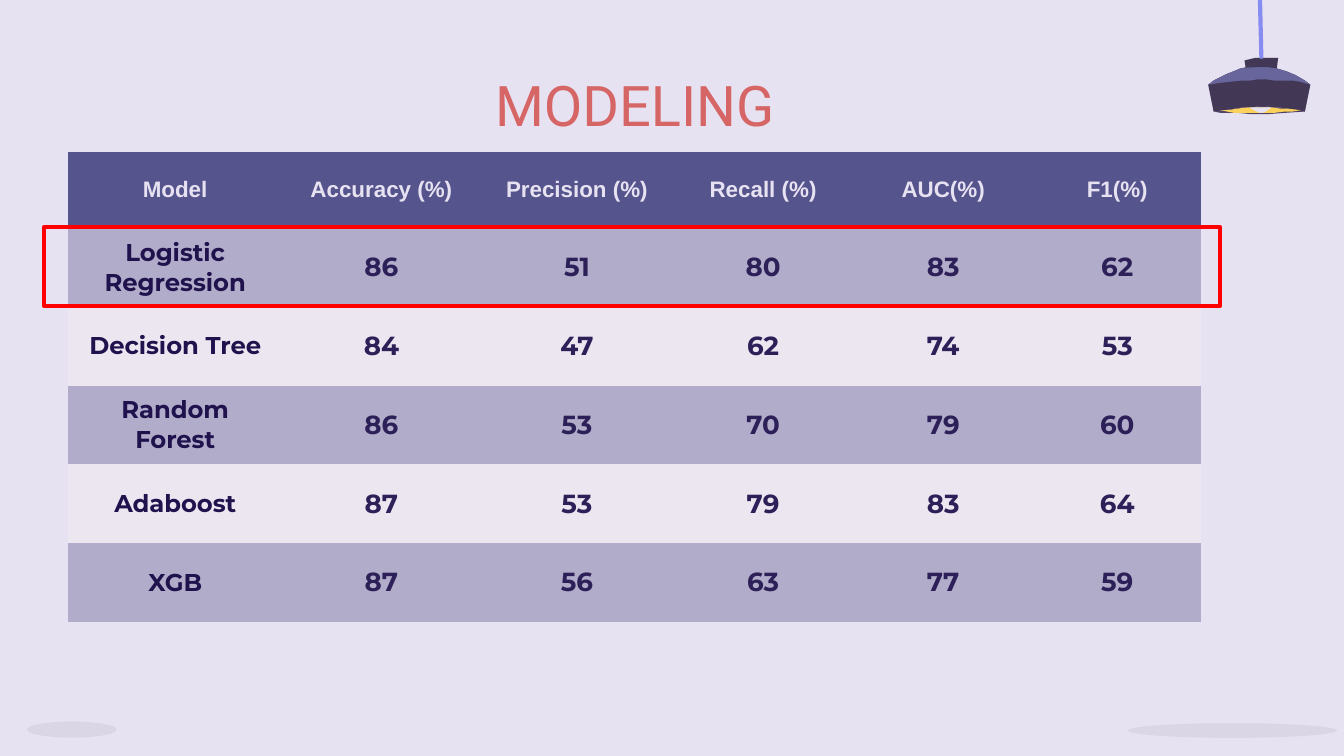
from lxml import etree
from pptx import Presentation
from pptx.dml.color import RGBColor
from pptx.enum.shapes import MSO_SHAPE
from pptx.enum.text import MSO_ANCHOR, PP_ALIGN
from pptx.oxml.ns import qn
from pptx.util import Pt

MIDDLE, CENTER = MSO_ANCHOR.MIDDLE, PP_ALIGN.CENTER
RECT, OVAL = MSO_SHAPE.RECTANGLE, MSO_SHAPE.OVAL

TITLE = "MODELING"
HEADS = ["Model", "Accuracy (%)", "Precision (%)", "Recall (%)", "AUC(%)", "F1(%)"]
MODELS = [
    ("Logistic Regression", 86, 51, 80, 83, 62),
    ("Decision Tree", 84, 47, 62, 74, 53),
    ("Random Forest", 86, 53, 70, 79, 60),
    ("Adaboost", 87, 53, 79, 83, 64),
    ("XGB", 87, 56, 63, 77, 59),
]

THEME = {
    "back": "E7E2F2", "title": "D66565", "head": "56548C",
    "bands": ("B0ACC9", "ECE6F1"), "name": "20124D", "score": "2D2058",
    "mark": "FF0000", "floor": "000000", "metal": "504268", "shade": "191919",
    "dome": "67659C", "glow": "FBD15B", "cord": "878CF0",
    "title_size": 30, "head_size": 12, "name_size": 13, "score_size": 14,
    "title_font": "Roboto", "head_font": "Arial", "body_font": "Montserrat",
}

LEFT, TOP = 36.6, 81.2
WIDTHS = [114.5, 106.5, 103, 96.5, 96.5, 90]
HEAD_H, ROW_H = 41, 42.2
PLAIN = "{2D5ABB26-0587-4C30-8999-92F81FD0307C}"
FLOORS = [(14.4, 386.6, 48.2, 8.6), (604.1, 387.4, 112.3, 7.9)]

ARCH = [(647.3, 45.4), (650.2, 43.2), (654.5, 41), (657.4, 39.6), (661, 38.2),
        (664.6, 36.7), (668.2, 36), (679.7, 36), (684, 36.7), (689, 38.2),
        (694.1, 40.3), (699.1, 43.2), (702, 45.4)]
FOLD = [(697, 43.9), (692.6, 43.2), (682.6, 43.2), (678.2, 42.5), (673.9, 42.5),
        (669.6, 43.2), (665.3, 43.2), (658.1, 43.9), (652.3, 44.6)]
BASE = [(699.1, 59.8), (695.5, 59), (691.2, 58.3), (685.4, 57.6), (681.8, 57.6),
        (678.2, 56.9), (674.6, 56.9), (670.3, 57.6), (665.3, 57.6), (661, 58.3),
        (655.9, 59), (650.2, 59.8)]
LIP = [(653.8, 60.5), (663.1, 60.5), (670.3, 61.2), (679, 61.2), (688.3, 60.5)]
GLOW = [(674.6, 57.6), (668.2, 57.6), (662.4, 58.3), (658.1, 59), (653.8, 59),
        (657.4, 59.8), (661, 60.5), (682.6, 60.5), (688.3, 59.8), (692.6, 59.8),
        (697, 59), (689.8, 58.3), (686.2, 58.3), (681.8, 57.6)]
CAP = [(676.1, 31), (672.5, 31), (669.6, 31.7), (666.7, 32.4), (667.4, 36.7),
       (673.2, 36), (679, 36), (684, 36.7), (684.7, 31)]
CORD = [(674.6, 0), (675.4, 31), (676.1, 31), (675.4, 0)]
BULB = [(669.6, 57.6), (670.3, 58.3), (671.8, 59), (673.2, 59.8), (675.4, 60.5),
        (676.1, 60.5), (678.2, 59.8), (679, 59), (680.4, 58.3), (681.1, 57.6)]
LAMP = [
    (ARCH + BASE, "metal", 100), (BASE + LIP, "metal", 100), (GLOW, "glow", 100),
    (CAP, "metal", 100), (CORD, "cord", 100), (BULB, "back", 100),
    (ARCH + BASE, "shade", 24), (ARCH + FOLD, "dome", 100), (CAP, "shade", 24),
]


def rgb(key):
    return RGBColor.from_string(THEME.get(key, key))


def paint(shape, fill=None, alpha=100, line=None, width=1.5):
    shape.shadow.inherit = False
    if fill:
        shape.fill.solid()
        shape.fill.fore_color.rgb = rgb(fill)
        if alpha < 100:
            tone = shape.fill._xPr.find(".//" + qn("a:srgbClr"))
            etree.SubElement(tone, qn("a:alpha"), val=str(alpha * 1000))
    else:
        shape.fill.background()
    if line:
        shape.line.color.rgb = rgb(line)
        shape.line.width = Pt(width)
    else:
        shape.line.fill.background()


def write(frame, text, size, font, color, bold=False):
    frame.word_wrap = True
    para = frame.paragraphs[0]
    para.alignment = CENTER
    run = para.add_run()
    run.text = str(text)
    run.font.size = Pt(THEME[size])
    run.font.name = THEME[font]
    run.font.bold = bold
    run.font.color.rgb = rgb(color)


def draw_lamp(shapes):
    for dots, fill, alpha in LAMP:
        dots = [(Pt(x), Pt(y)) for x, y in dots]
        pen = shapes.build_freeform(*dots[0], scale=1.0)
        pen.add_line_segments(dots[1:], close=True)
        paint(pen.convert_to_shape(), fill, alpha, "cord" if fill == "cord" else None)


def draw_table(shapes):
    rows = [HEADS] + MODELS
    high = HEAD_H + ROW_H * len(MODELS)
    box = (LEFT, TOP, sum(WIDTHS), high)
    table = shapes.add_table(len(rows), len(HEADS), *map(Pt, box)).table
    table._tbl.tblPr.find(qn("a:tableStyleId")).text = PLAIN
    for col, width in zip(table.columns, WIDTHS):
        col.width = Pt(width)
    for r, row in enumerate(rows):
        table.rows[r].height = Pt(ROW_H if r else HEAD_H)
        for c, text in enumerate(row):
            cell = table.cell(r, c)
            cell.vertical_anchor = MIDDLE
            tight = r > 0 and c > 0
            cell.margin_left = cell.margin_right = Pt(1.5 if tight else 7.2)
            cell.margin_top = cell.margin_bottom = Pt(1 if tight else 3.6)
            cell.fill.solid()
            cell.fill.fore_color.rgb = rgb(THEME["bands"][(r - 1) % 2] if r else "head")
            kind = "score" if tight else "name" if r else "head"
            write(cell.text_frame, text, kind + "_size",
                  "body_font" if r else "head_font", kind if r else "back", bold=True)


def main():
    deck = Presentation()
    deck.slide_width, deck.slide_height = Pt(720), Pt(405)
    slide = deck.slides.add_slide(deck.slide_layouts[6])
    slide.background.fill.solid()
    slide.background.fill.fore_color.rgb = rgb("back")
    shapes = slide.shapes
    draw_lamp(shapes)
    for box in FLOORS:
        paint(shapes.add_shape(OVAL, *map(Pt, box)), "floor", 5)
    draw_table(shapes)
    mark = shapes.add_shape(RECT, Pt(23.6), Pt(121.6), Pt(630), Pt(42.4))
    paint(mark, line="mark", width=2)
    frame = shapes.add_textbox(Pt(LEFT), Pt(37.6), Pt(sum(WIDTHS)), Pt(36)).text_frame
    frame.vertical_anchor = MIDDLE
    frame.margin_top = frame.margin_bottom = Pt(0)
    write(frame, TITLE, "title_size", "title_font", "title")
    deck.save("out.pptx")


if __name__ == "__main__":
    main()
